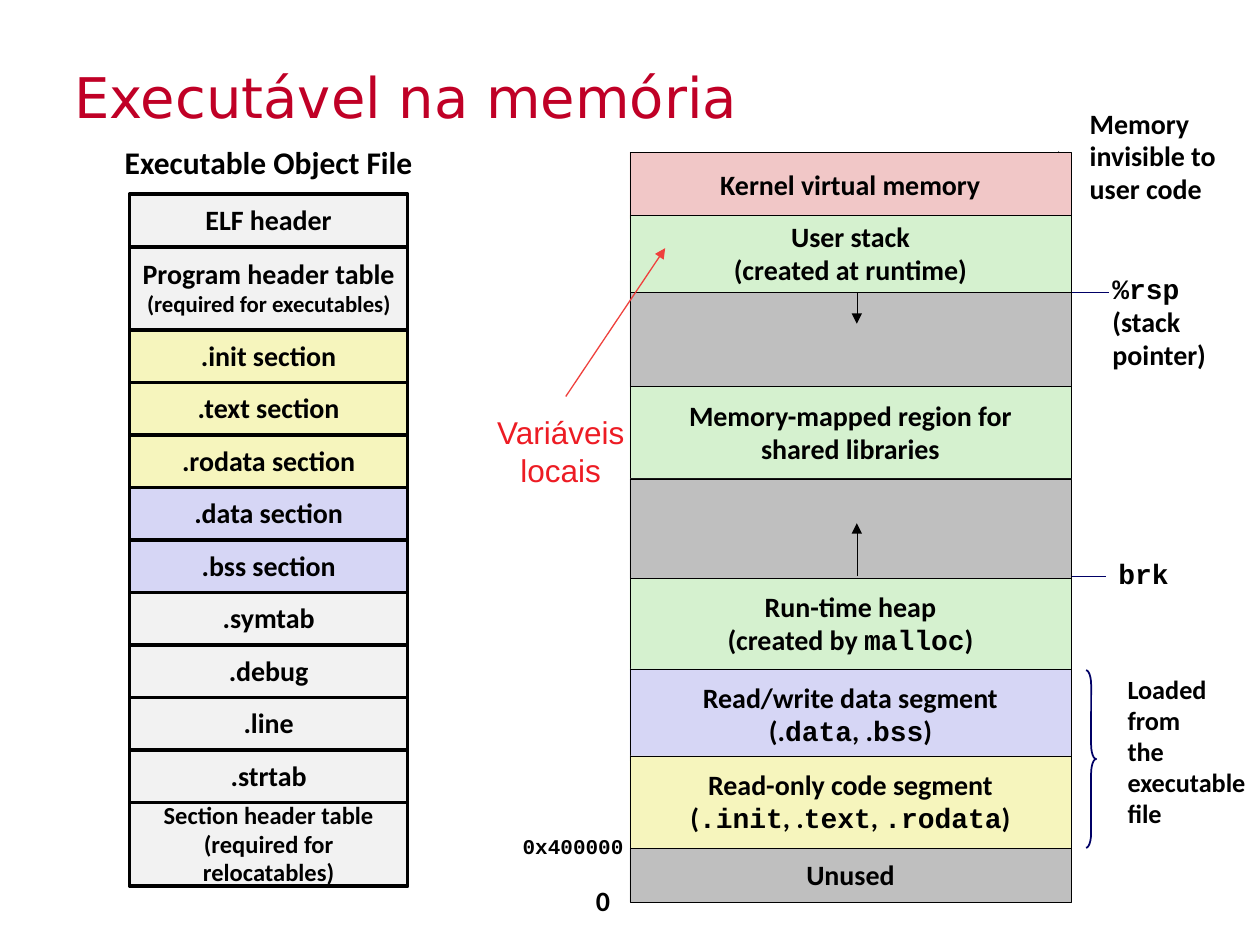
from lxml import etree
from pptx import Presentation
from pptx.dml.color import RGBColor
from pptx.enum import shapes, text
from pptx.oxml import ns
from pptx.util import Pt

BLACK, NAVY, RED = "000000", "000066", "ED1C24"
GREY, YELLOW, LILAC = "F2F2F2", "F6F5BD", "D6D6F5"
GREEN, PINK, EMPTY = "D5F1CF", "F1C7C7", "BFBFBF"
CENTER, LEFT = text.PP_ALIGN.CENTER, text.PP_ALIGN.LEFT


def color(value):
    return RGBColor.from_string(value)


def set_all(target, values):
    for name, value in values.items():
        setattr(target, name, value)


def write(shape, lines, size=16, ink=BLACK, font="Calibri", bold=True,
          align=LEFT, wrap=True, spacing=0.98, anchor=text.MSO_ANCHOR.TOP):
    """Fill a shape with lines; words between backticks are monospaced.

    A line is a string, or a (string, size) pair.
    """
    frame = shape.text_frame
    set_all(frame, {"word_wrap": wrap, "vertical_anchor": anchor,
                    "margin_left": Pt(7.2), "margin_right": Pt(7.2),
                    "margin_top": Pt(3.6), "margin_bottom": Pt(3.6)})
    for index, line in enumerate(lines):
        words, points = (line, size) if isinstance(line, str) else line
        para = frame.paragraphs[0] if index == 0 else frame.add_paragraph()
        # A line that is all monospaced is set a little tighter
        only_mono = words.startswith("`") and words.endswith("`")
        set_all(para, {"alignment": align,
                       "line_spacing": 0.94 if only_mono else spacing})
        for part, piece in enumerate(words.split("`")):
            if piece:
                span = para.add_run()
                span.text = piece
                set_all(span.font, {"size": Pt(points), "bold": bold,
                                    "name": "Courier New" if part % 2 else font})
                span.font.color.rgb = color(ink)


def add_label(page, box, lines, **style):
    write(page.shapes.add_textbox(*map(Pt, box)), lines, **style)


def add_block(page, box, fill, lines, weight, **style):
    block = page.shapes.add_shape(shapes.MSO_SHAPE.RECTANGLE, *map(Pt, box))
    block.shadow.inherit = False
    block.fill.solid()
    block.fill.fore_color.rgb = color(fill)
    block.line.color.rgb = color(BLACK)
    block.line.width = Pt(weight)
    write(block, lines, align=CENTER, anchor=text.MSO_ANCHOR.MIDDLE, **style)


def add_arrow(page, start, end, ink=BLACK, weight=0.25):
    arrow = page.shapes.add_connector(shapes.MSO_CONNECTOR.STRAIGHT,
                                      *map(Pt, start + end))
    arrow.line.color.rgb = color(ink)
    arrow.line.width = Pt(weight)
    etree.SubElement(arrow.line._get_or_add_ln(), ns.qn("a:tailEnd"), type="triangle")
    etree.SubElement(arrow._element.spPr, ns.qn("a:effectLst"))


def add_object_file(page, left, top, width):
    """Stack of file sections under a heading."""
    add_label(page, (left - 10, top - 32, width + 20, 28),
              ["Executable Object File"], size=18, align=CENTER, wrap=False)
    small, tall = 30, 47.7
    sections = [
        (small, GREY, ["ELF header"]),
        (tall, GREY, ["Program header table", ("(required for executables)", 13)]),
        (small, YELLOW, [".init section"]),
        (small, YELLOW, [".text section"]),
        (small, YELLOW, [".rodata section"]),
        (small, LILAC, [".data section"]),
        (small, LILAC, [".bss section"]),
        (small, GREY, [".symtab"]),
        (small, GREY, [".debug"]),
        (small, GREY, [".line"]),
        (small, GREY, [".strtab"]),
        (tall, GREY, [("Section header table", 14),
                      ("(required for relocatables)", 14)]),
    ]
    for height, fill, lines in sections:
        add_block(page, (left, top, width, height), fill, lines, 2,
                  wrap=fill != GREY or "Program" not in lines[0])
        top += height


def add_memory_map(page, left, top, width):
    """Address space from the kernel down to address zero."""
    segments = [
        (0, 38, PINK, ["Kernel virtual memory"]),
        (62, 72, EMPTY, []),
        (36, 44, GREEN, ["User stack", "(created at runtime)"]),
        (134, 52.6, GREEN, ["Memory-mapped region for", "shared libraries"]),
        (186.6, 56.8, EMPTY, []),
        (243.4, 52.6, GREEN, ["Run-time heap", "(created by `malloc`)"]),
        (295.2, 52.6, LILAC, ["Read/write data segment", "(.`data`, .`bss`)"]),
        (345, 52.6, YELLOW, ["Read-only code segment",
                             "(`.init`, .`text`, `.rodata`)"]),
        (397.6, 31, EMPTY, ["Unused"]),
    ]
    for offset, height, fill, lines in segments:
        add_block(page, (left, top + offset, width, height), fill, lines, 0.25)
    # Growth of the stack and of the heap
    axis = left + 129.6
    add_arrow(page, (axis, top + 80), (axis, top + 98))
    add_arrow(page, (axis, top + 242), (axis, top + 212))


def add_map_notes(page, left, top, right):
    """Labels on both sides of the memory map, with their pointers."""
    add_label(page, (right + 3.6, top - 29, 104, 63),
              ["Memory", "invisible to user code"])
    add_arrow(page, (right - 7, top + 36), (right - 7, top - 0.6))
    add_label(page, (right + 16.6, top + 66.4, 68.4, 62.6),
              ["`%rsp`", "(stack", "pointer)"], wrap=False)
    add_arrow(page, (right + 21.6, top + 80), (right - 8.6, top + 80), NAVY)
    add_label(page, (right + 20, top + 229, 43, 25), ["`brk`"], wrap=False)
    add_arrow(page, (right + 20, top + 242), (right - 10, top + 242), NAVY)
    # Brace around the two loaded segments
    brace = page.shapes.add_shape(shapes.MSO_SHAPE.RIGHT_BRACE, Pt(right + 8.6),
                                  Pt(top + 296), Pt(5.8), Pt(101.5))
    brace.shadow.inherit = False
    brace.adjustments[0] = 1.42
    brace.fill.background()
    brace.line.color.rgb = color(NAVY)
    brace.line.width = Pt(1)
    add_label(page, (right + 25.2, top + 295.2, 82, 101),
              ["Loaded", "from", "the", "executable", "file"], size=15, wrap=False)
    # Addresses
    add_label(page, (left - 68.4, top + 386.8, 72, 21), ["`0x400000`"],
              size=12, wrap=False)
    add_label(page, (left - 26.6, top + 415, 22, 26), ["0"], wrap=False)


def add_locals_note(page, left, top):
    """Red remark that points into the stack."""
    add_label(page, (left, top, 99.4, 47.5), ["Variáveis", "locais"], size=18,
              ink=RED, font="Arial", bold=False, align=CENTER, spacing=1)
    add_arrow(page, (left + 52.6, top - 6), (left + 109.4, top - 90.8),
              "EF413D", 0.75)


def main():
    deck = Presentation()
    set_all(deck, {"slide_width": Pt(720), "slide_height": Pt(540)})
    page = deck.slides.add_slide(deck.slide_layouts[6])
    add_label(page, (35.3, 32.4, 648, 49), ["Executável na memória"], size=32,
              ink="C00026", font="DejaVu Sans", bold=False, spacing=1)
    add_object_file(page, 74, 111, 159)
    add_map_notes(page, 360, 87, 612)
    add_memory_map(page, 360, 87, 252)
    add_locals_note(page, 270.7, 232.6)
    deck.save("out.pptx")


if __name__ == "__main__":
    main()
